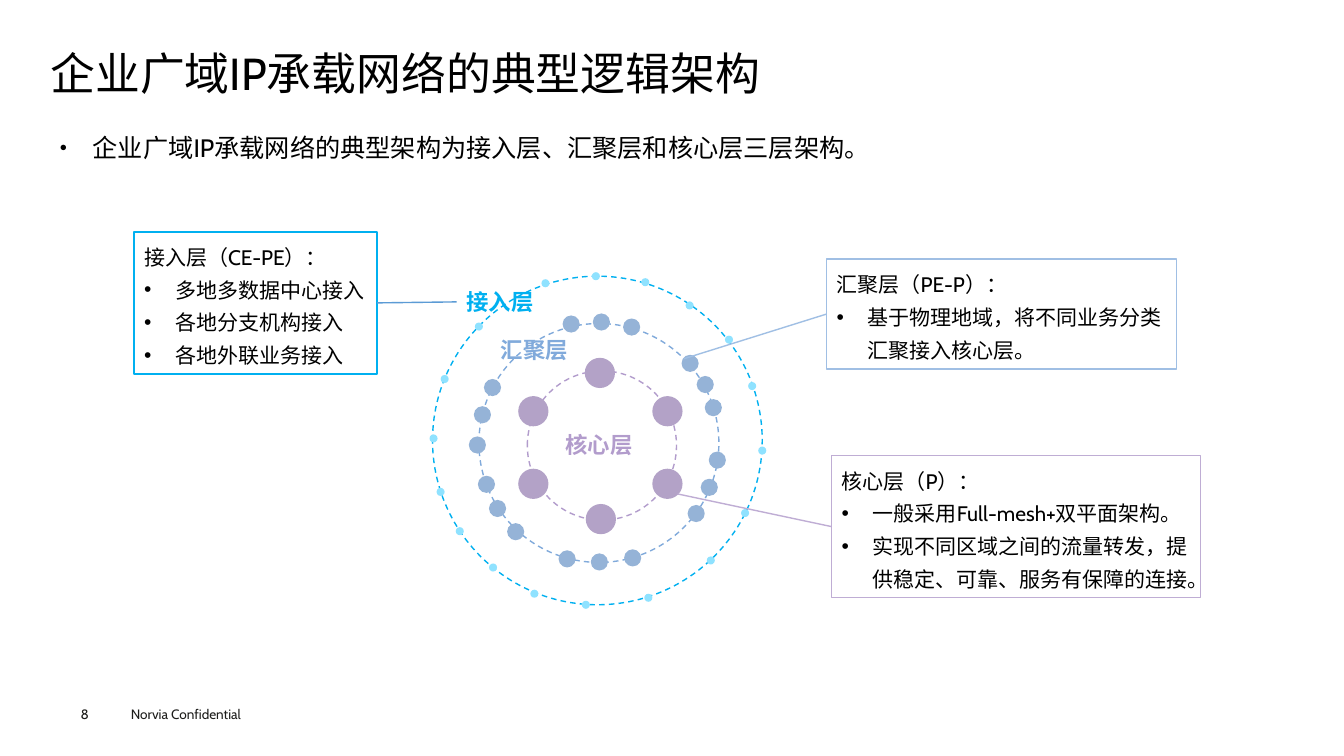
from dataclasses import dataclass

from lxml import etree
from pptx import Presentation
from pptx import util as u
from pptx.dml.color import RGBColor
from pptx.enum import dml, lang, shapes, text
from pptx.oxml.ns import qn

PX = 9144


@dataclass(frozen=True)
class Theme:
    """Colours, font and type sizes of the slide."""
    font: str = "Cabin"
    ink: str = "000000"
    footer_ink: str = "1D1D1B"
    access: str = "00B0F0"
    access_dot: str = "8FE2FF"
    access_link: str = "5B9BD5"
    aggregation: str = "81AADB"
    aggregation_dot: str = "95B3D7"
    aggregation_edge: str = "A0BFE4"
    core: str = "B29CCC"
    core_dot: str = "B3A2C7"
    core_edge: str = "BFADD4"
    title_size: float = 32
    body_size: float = 18
    label_size: float = 16
    callout_size: float = 15
    footer_size: float = 9.7


THEME = Theme()

ACCESS_DOTS = [
    (111, 7), (45, 50), (161, 0), (210, 6), (293, 63), (316, 109),
    (326, 173), (254, 29), (275, 282), (309, 235), (100, 315), (7, 214),
    (59, 289), (26, 253), (213, 319), (151, 326), (11, 102), (0, 161),
]
AGGREGATION_DOTS = [
    (132, 43), (162, 41), (192, 46), (250, 82), (265, 103), (273, 126),
    (193, 275), (160, 279), (128, 276), (277, 178), (269, 205), (256, 231),
    (77, 249), (59, 226), (48, 202), (39, 163), (44, 133), (54, 106),
]
CORE_DOTS = [(154, 85), (88, 123), (221, 123), (88, 195), (155, 230), (221, 195)]

LAYERS = [
    ("接入层", THEME.access, (3, 4, 327, 326), (27, 11), THEME.access_dot, 8, ACCESS_DOTS),
    ("汇聚层", THEME.aggregation, (49, 51, 238, 237), (61, 59),
     THEME.aggregation_dot, 17, AGGREGATION_DOTS),
    ("核心层", THEME.core, (97, 98, 148, 148), (125, 153), THEME.core_dot, 30, CORE_DOTS),
]


def emu(*lengths):
    """Turn px lengths into EMU."""
    return [u.Emu(length * PX) for length in lengths]


def rgb(colour):
    """Turn a hex string into a colour."""
    return RGBColor.from_string(colour)


def add_bullet(para, char, indent, percent=100):
    """Give a paragraph a hanging bullet."""
    props = para._p.get_or_add_pPr()
    props.set("marL", str(indent * PX))
    props.set("indent", str(-indent * PX))
    etree.SubElement(props, qn("a:buSzPct")).set("val", str(percent * 1000))
    etree.SubElement(props, qn("a:buFont")).set("typeface", "Arial")
    etree.SubElement(props, qn("a:buChar")).set("char", char)


def write(para, words, size, colour, bold=False, spacing=1.0, align=text.PP_ALIGN.LEFT):
    """Add one formatted run to a paragraph."""
    para.alignment = align
    para.line_spacing = spacing
    para.space_before = u.Pt(0)
    span = para.add_run()
    span.text = words
    span.font.name = THEME.font
    span.font.size = u.Pt(size)
    span.font.bold = bold
    span.font.color.rgb = rgb(colour)
    span.font.language_id = lang.MSO_LANGUAGE_ID.SIMPLIFIED_CHINESE


def set_frame(shape, insets=(10, 5), wrap=True, anchor=text.MSO_ANCHOR.TOP):
    """Set up a text frame and return it."""
    frame = shape.text_frame
    frame.auto_size = text.MSO_AUTO_SIZE.NONE
    frame.word_wrap = wrap
    frame.vertical_anchor = anchor
    frame.margin_left = frame.margin_right = emu(insets[0])[0]
    frame.margin_top = frame.margin_bottom = emu(insets[1])[0]
    return frame


def add_outline(parts, kind, box, line=None, fill=None, dash=False):
    """Add a plain shape with an outline or a fill."""
    shape = parts.add_shape(kind, *emu(*box))
    shape.shadow.inherit = False
    if fill:
        shape.fill.solid()
        shape.fill.fore_color.rgb = rgb(fill)
    else:
        shape.fill.background()
    if line:
        shape.line.color.rgb = rgb(line)
        shape.line.width = u.Pt(1)
        if dash:
            shape.line.dash_style = dml.MSO_LINE.DASH
    else:
        shape.line.fill.background()
    return shape


def add_heading(page, box):
    """Place the title."""
    title = page.shapes.title
    title.left, title.top, title.width, title.height = emu(*box)
    frame = set_frame(title, (0, 0), anchor=text.MSO_ANCHOR.MIDDLE)
    write(frame.paragraphs[0], "企业广域IP承载网络的典型逻辑架构",
          THEME.title_size, THEME.ink, spacing=0.9)


def add_body(page, box):
    """Place the bulleted summary."""
    body = page.placeholders[1]
    body.left, body.top, body.width, body.height = emu(*box)
    para = set_frame(body, (9, 4)).paragraphs[0]
    add_bullet(para, "●", 33, 50)
    write(para, "企业广域IP承载网络的典型架构为接入层、汇聚层和核心层三层架构。",
          THEME.body_size, THEME.ink, spacing=1.4, align=text.PP_ALIGN.JUSTIFY)


def add_footer(page, box):
    """Place the page number and the confidentiality mark."""
    left, top, width, height = box
    number = page.shapes.add_textbox(*emu(left, top + 5, 55, 16))
    write(set_frame(number, (0, 0)).paragraphs[0], "8", THEME.footer_size, THEME.footer_ink)
    mark = page.shapes.add_textbox(*emu(left + 40, top, width - 40, height))
    write(set_frame(mark).paragraphs[0], "Norvia Confidential",
          THEME.footer_size, THEME.footer_ink)


def add_rings(page, box):
    """Draw the three ringed layers and return their labels."""
    left, top = box[:2]
    parts = page.shapes.add_group_shape().shapes
    oval = shapes.MSO_SHAPE.OVAL
    labels = []
    for name, colour, (x, y, width, height), spot, dot_colour, size, dots in LAYERS:
        add_outline(parts, oval, (left + x, top + y, width, height), line=colour, dash=True)
        for dot_x, dot_y in dots:
            add_outline(parts, oval, (left + dot_x, top + dot_y, size, size), fill=dot_colour)
        label = parts.add_textbox(*emu(left + spot[0], top + spot[1], 88, 37))
        write(set_frame(label, wrap=False).paragraphs[0], name,
              THEME.label_size, colour, bold=True)
        labels.append(label)
    return labels


def add_callout(page, box, colour, heading, points, wrap=True):
    """Draw a framed note with a heading and bullets."""
    note = add_outline(page.shapes, shapes.MSO_SHAPE.RECTANGLE, box, line=colour)
    frame = set_frame(note, wrap=wrap)
    write(frame.paragraphs[0], heading, THEME.callout_size, THEME.ink, spacing=1.3)
    for point in points:
        para = frame.add_paragraph()
        add_bullet(para, "•", 31)
        write(para, point, THEME.callout_size, THEME.ink, spacing=1.3)
    return note


def add_link(page, note, side, colour, end):
    """Join the side of a note to a point in the rings."""
    link = page.shapes.add_connector(shapes.MSO_CONNECTOR.STRAIGHT, 0, 0, *emu(*end))
    link.begin_connect(note, side)
    link.line.color.rgb = rgb(colour)
    link.line.width = u.Pt(1)
    etree.SubElement(link._element.spPr, qn("a:effectLst"))
    return link


def main():
    """Build the slide."""
    deck = Presentation()
    deck.slide_width, deck.slide_height = emu(1333, 750)
    page = deck.slides.add_slide(deck.slide_layouts[1])
    add_heading(page, (50, 49, 1235, 53))
    add_body(page, (50, 115, 1235, 534))
    add_footer(page, (80, 695, 200, 27))
    access_label = add_rings(page, (426, 270, 334, 334))[0]
    access = add_callout(page, (133, 230, 241, 141), THEME.access, "接入层（CE-PE）：",
                         ["多地多数据中心接入", "各地分支机构接入", "各地外联业务接入"], wrap=False)
    aggregation = add_callout(page, (820, 257, 347, 109), THEME.aggregation_edge,
                              "汇聚层（PE-P）：", ["基于物理地域，将不同业务分类汇聚接入核心层。"])
    core = add_callout(page, (825, 452, 366, 141), THEME.core_edge, "核心层（P）：",
                       ["一般采用Full-mesh+双平面架构。",
                        "实现不同区域之间的流量转发，提供稳定、可靠、服务有保障的连接。"])
    add_link(page, access, 3, THEME.access_link, (453, 299)).end_connect(access_label, 1)
    add_link(page, aggregation, 1, THEME.aggregation_edge, (678, 356))
    add_link(page, core, 1, THEME.core_edge, (672, 490))
    deck.save("out.pptx")


if __name__ == "__main__":
    main()
